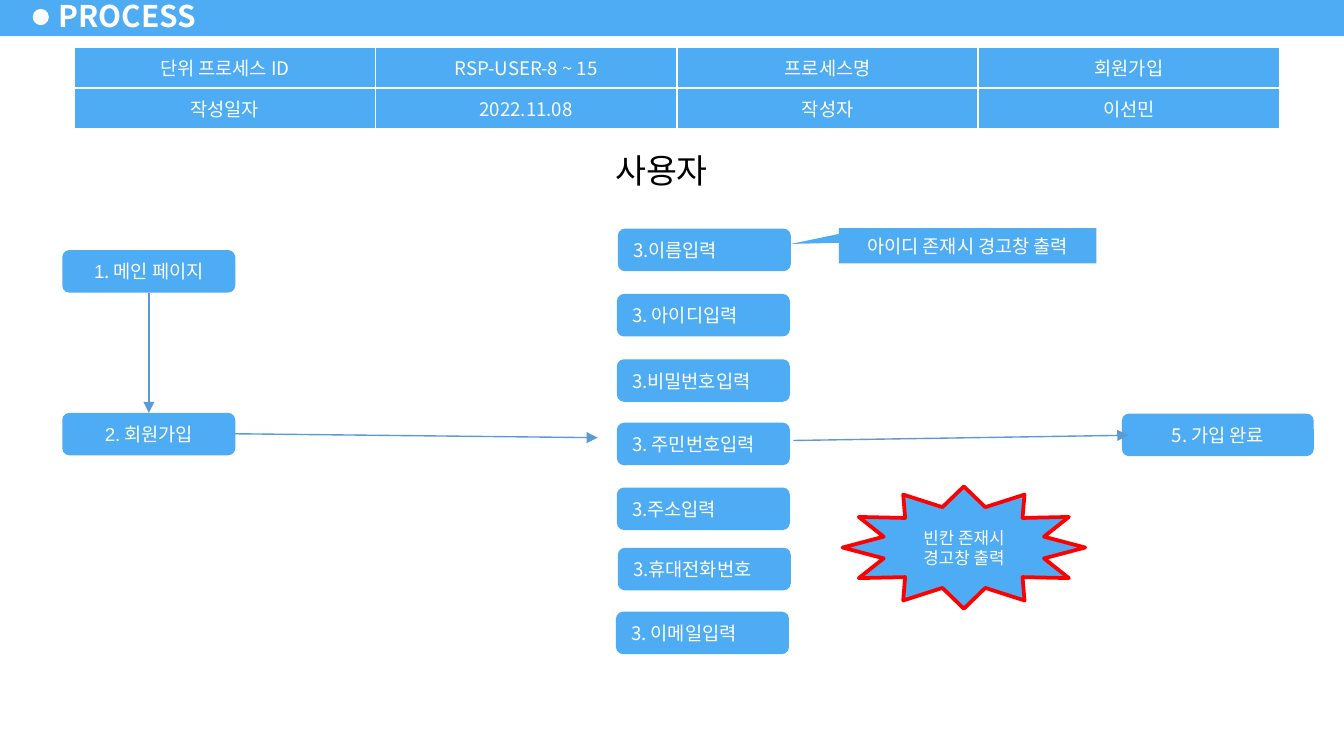
from lxml import etree
from pptx import Presentation
from pptx.dml.color import RGBColor
from pptx.enum import shapes, text
from pptx.oxml import parse_xml
from pptx.oxml.ns import nsdecls, qn
from pptx.util import Pt

COLORS = {"blue": "4DACF3", "white": "FFFFFF", "black": "000000",
          "red": "FF0000", "arrow": "5B9BD5"}
KR = "Noto Sans CJK KR"
SHAPE = shapes.MSO_SHAPE
CENTER = text.PP_ALIGN.CENTER
JUSTIFY = text.PP_ALIGN.JUSTIFY
MIDDLE = text.MSO_ANCHOR.MIDDLE
BOX_H = 22.8


def rgb(name):
    return RGBColor.from_string(COLORS[name])


def style_run(r, size=10, color="white", font=KR, bold=False):
    r.font.size = Pt(size)
    r.font.bold = bold
    r.font.color.rgb = rgb(color)
    r.font.name = font
    etree.SubElement(r.font._element, qn("a:ea")).set("typeface", font)


def add_block(s, kind, box, fill="blue", line=None):
    sp = s.shapes.add_shape(kind, *map(Pt, box))
    sp.shadow.inherit = False
    sp.fill.solid()
    sp.fill.fore_color.rgb = rgb(fill)
    if line:
        sp.line.color.rgb = rgb(line)
        sp.line.width = Pt(2)
    else:
        sp.line.fill.background()
    return sp


def write(sp, parts, align=CENTER, anchor=MIDDLE, size=10, color="white"):
    tf = sp.text_frame
    tf.word_wrap = True
    tf.vertical_anchor = anchor
    p = tf.paragraphs[0]
    p.alignment = align
    for i, (words, font) in enumerate(parts):
        if i == 0:
            p.text = words
        else:
            p.add_run().text = words
        for r in p.runs[i:]:
            style_run(r, size, color, font)
    return tf


def add_step(s, box, parts, align=CENTER):
    write(add_block(s, SHAPE.ROUNDED_RECTANGLE, box), parts, align)


def add_arrow(s, start, end):
    c = s.shapes.add_connector(shapes.MSO_CONNECTOR.STRAIGHT, *map(Pt, start + end))
    c.line.color.rgb = rgb("arrow")
    c.line.width = Pt(0.75)
    ln = c.line._get_or_add_ln()
    etree.SubElement(ln, qn("a:tailEnd")).set("type", "triangle")
    c.element.spPr.append(parse_xml(f"<a:effectLst {nsdecls('a')}/>"))


def add_header(s, x, y, w, h):
    add_block(s, SHAPE.RECTANGLE, (x, y, w, h))
    add_block(s, SHAPE.OVAL, (x + 17.5, y + 6.3, 8.7, 8.7), "white")
    title = s.shapes.title
    title.left, title.top, title.width, title.height = map(Pt, (x + 25, y - 1.5, 88, 23))
    title.element.getparent().append(title.element)
    tf = title.text_frame
    tf.text = "PROCESS"
    tf.word_wrap = True
    tf.auto_size = text.MSO_AUTO_SIZE.NONE
    tf.vertical_anchor = MIDDLE
    tf.margin_left = tf.margin_right = Pt(6.5)
    tf.margin_top = tf.margin_bottom = Pt(3)
    tf.paragraphs[0].alignment = text.PP_ALIGN.LEFT
    style_run(tf.paragraphs[0].runs[0], 16, bold=True)


def add_border(cell):
    tc_pr = cell._tc.get_or_add_tcPr()
    for i, side in enumerate(("lnL", "lnR", "lnT", "lnB")):
        tc_pr.insert(i, parse_xml(
            f'<a:{side} {nsdecls("a")} w="12700"><a:solidFill>'
            f'<a:srgbClr val="{COLORS["white"]}"/></a:solidFill></a:{side}>'))


def add_info_table(s, x, y, w, h):
    rows = [["단위 프로세스 ID", "RSP-USER-8 ~ 15", "프로세스명", "회원가입"],
            ["작성일자", "2022.11.08", "작성자", "이선민"]]
    table = s.shapes.add_table(2, 4, *map(Pt, (x, y, w, h))).table
    for i, row in enumerate(rows):
        for j, words in enumerate(row):
            cell = table.cell(i, j)
            cell.text = words
            cell.vertical_anchor = MIDDLE
            cell.fill.solid()
            cell.fill.fore_color.rgb = rgb("blue")
            p = cell.text_frame.paragraphs[0]
            p.alignment = CENTER
            style_run(p.runs[0])
            add_border(cell)


def add_actor(s, x, y, w, h):
    sp = add_block(s, SHAPE.RECTANGLE, (x, y, w, h), "white")
    write(sp, [("사용자", KR)], text.PP_ALIGN.LEFT, text.MSO_ANCHOR.TOP, 18, "black")


def add_entry_steps(s, x, y, w, h):
    steps = [("1", ". 메인 페이지"), ("2", ". 회원가입")]
    for i, (number, label) in enumerate(steps):
        add_step(s, (x, y + i * (h - BOX_H), w, BOX_H), [(number, "Arial"), (label, KR)])
    mid = x + w / 2
    add_arrow(s, (mid, y + BOX_H), (mid, y + h - BOX_H))


def add_input_fields(s, x, y, w):
    fields = [(1, 0, "3.이름입력"), (0.5, 35, "3. 아이디입력"),
              (0.5, 70, "3.비밀번호입력"), (0.5, 104, "3. 주민번호입력"),
              (0.5, 138.7, "3.주소입력"), (1, 171, "3.휴대전화번호"),
              (0, 205.2, "3. 이메일입력")]
    for dx, dy, label in fields:
        add_step(s, (x + dx, y + dy, w, BOX_H), [(label, KR)], JUSTIFY)


def add_warnings(s, x, y):
    callout = add_block(s, SHAPE.RECTANGULAR_CALLOUT, (x, y, 138, 19))
    callout.adjustments[0], callout.adjustments[1] = -0.685, -0.051
    write(callout, [("아이디 존재시 경고창 출력", KR)])
    star = add_block(s, SHAPE.STAR_12_POINT, (x + 2, y + 138.4, 130, 65.5), line="red")
    star.adjustments[0] = 0.342
    tf = write(star, [("빈칸 존재시\v경고창 출력", KR)], size=9)
    tf.margin_left = tf.margin_right = tf.margin_top = tf.margin_bottom = 0


def main():
    prs = Presentation()
    prs.slide_width, prs.slide_height = Pt(720), Pt(405)
    s = prs.slides.add_slide(prs.slide_layouts[5])
    add_header(s, 0, -1.5, 720, 20.8)
    add_info_table(s, 39.6, 25.5, 646, 40.4)
    add_entry_steps(s, 33.4, 134, 92.7, 110)
    add_step(s, (601, 221.6, 102.8, BOX_H), [("5. 가입 완료", KR)])
    add_input_fields(s, 330, 122.5, 92.7)
    add_warnings(s, 449.4, 122.2)
    add_actor(s, 322.5, 77, 78, 29.5)
    add_arrow(s, (126, 232.4), (320.2, 234.5))
    add_arrow(s, (425, 236), (604.5, 233.2))
    prs.save("out.pptx")


if __name__ == "__main__":
    main()
